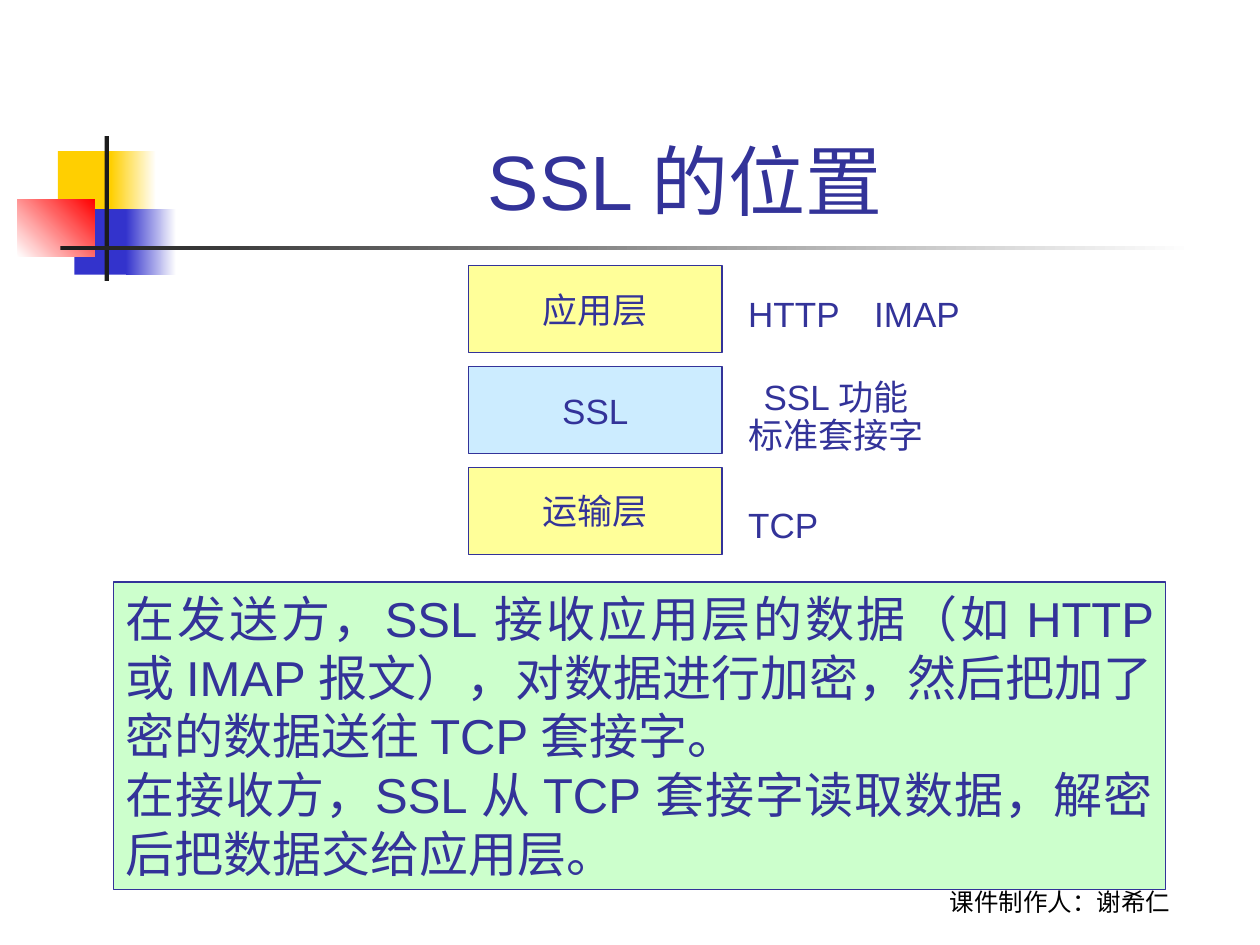
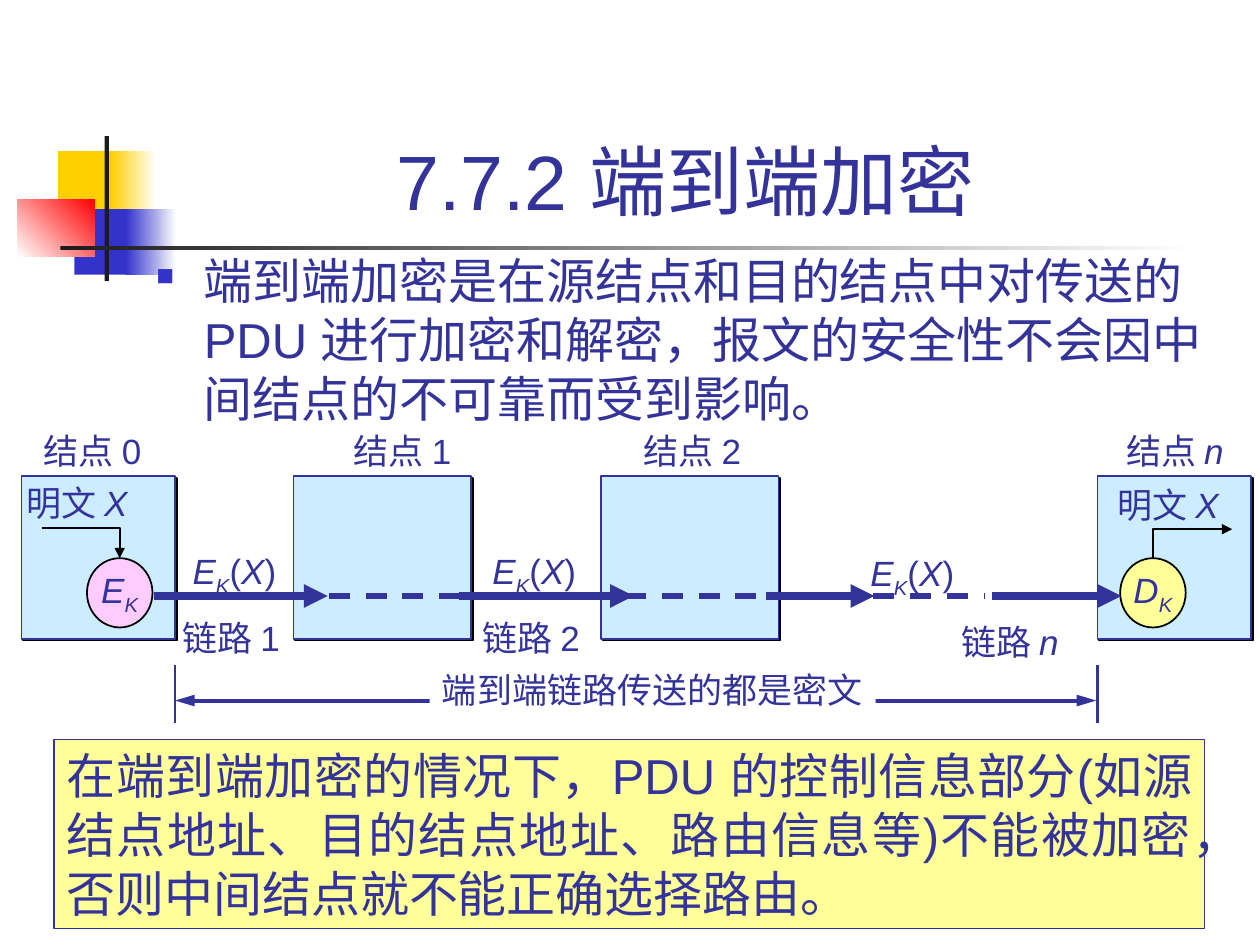
from lxml import etree
from pptx import Presentation
from pptx.dml.color import RGBColor
from pptx.enum.dml import MSO_LINE
from pptx.enum.shapes import MSO_CONNECTOR, MSO_SHAPE
from pptx.enum.text import MSO_ANCHOR, PP_ALIGN
from pptx.oxml.ns import qn
from pptx.util import Inches, Pt

RECT, OVAL = MSO_SHAPE.RECTANGLE, MSO_SHAPE.OVAL
STRAIGHT, DASH = MSO_CONNECTOR.STRAIGHT, MSO_LINE.DASH
LEFT, CENTER, JUSTIFY = PP_ALIGN.LEFT, PP_ALIGN.CENTER, PP_ALIGN.JUSTIFY
TOP, MIDDLE, BOTTOM = MSO_ANCHOR.TOP, MSO_ANCHOR.MIDDLE, MSO_ANCHOR.BOTTOM
rgb = RGBColor.from_string

# Shared colours
NAVY, BLUE, GOLD, RED = "333399", "3333CC", "FFCF01", "FF0000"
BLACK, INK, WHITE = "000000", "1C1C1C", "FFFFFF"
YELLOW, SKY, GREEN, PINK = "FFFF99", "CCECFF", "CCFFCC", "FFCCFF"

prs = Presentation()
prs.slide_width, prs.slide_height = Inches(10), Inches(7.5)
U = prs.slide_width / 100  # square grid: 100 columns by 75 rows


def box(s, at, paras=(), fill=None, line=None, kind=RECT, size=20, color=NAVY,
        font="Arial", align=LEFT, anchor=TOP, wrap=False, spacing=None, weight=0.75):
    """Shape or text box; each paragraph is a list of (text, style) runs."""
    x, y, w, h = (int(v * U) for v in at)
    if fill or line:
        sp = s.shapes.add_shape(kind, x, y, w, h)
        sp.shadow.inherit = False
        if isinstance(fill, tuple):
            start, end, angle = fill
            sp.fill.gradient()
            sp.fill.gradient_angle = angle
            for stop, shade in zip(sp.fill.gradient_stops, (start, end)):
                stop.color.rgb = rgb(shade)
        else:
            sp.fill.solid()
            sp.fill.fore_color.rgb = rgb(fill)
        if line:
            sp.line.color.rgb = rgb(line)
            sp.line.width = Pt(weight)
        else:
            sp.line.fill.background()
    else:
        sp = s.shapes.add_textbox(x, y, w, h)
    tf = sp.text_frame
    tf.word_wrap, tf.vertical_anchor = wrap, anchor
    for i, runs in enumerate(paras):
        p = tf.add_paragraph() if i else tf.paragraphs[0]
        p.alignment = align
        if spacing:
            p.line_spacing = spacing
        for text, style in runs:
            r = p.add_run()
            r.text = text
            r.font.name, r.font.size = font, Pt(size)
            r.font.color.rgb = rgb(color)
            r.font.italic = style in ("i", "sub")
            if style == "sub":
                r.font._element.set("baseline", "-25000")
    return sp


def stroke(s, points, color, width, ends=(), dash=None, head_length="med"):
    """Open line through the points; two points make a connector."""
    pts = [(int(x * U), int(y * U)) for x, y in points]
    if len(pts) == 2:
        sp = s.shapes.add_connector(STRAIGHT, *pts[0], *pts[1])
    else:
        fb = s.shapes.build_freeform(*pts[0])
        fb.add_line_segments(pts[1:], close=False)
        sp = fb.convert_to_shape()
        sp.fill.background()
    sp.line.color.rgb = rgb(color)
    sp.line.width = Pt(width)
    if dash:
        sp.line.dash_style = dash
    ln = sp.line._get_or_add_ln()
    for end in ends:
        etree.SubElement(ln, qn("a:" + end), type="triangle", len=head_length)
    etree.SubElement(sp._element.spPr, qn("a:effectLst"))


# Both slides: corner ornament, rule and title
slides = []
for title in ("SSL 的位置", "7.7.2 端到端加密"):
    s = prs.slides.add_slide(prs.slide_layouts[6])
    for at, fill in (
        ((4.6, 12, 4.8, 5.2), GOLD),
        ((8.8, 12, 3.6, 5.2), (GOLD, WHITE, 0)),
        ((5.9, 16.6, 4.6, 5.2), BLUE),
        ((10, 16.6, 4, 5.2), (BLUE, WHITE, 0)),
        ((1.4, 15.8, 6.1, 4.6), (WHITE, RED, 45)),
        ((8.3, 10.8, 0.35, 11.5), INK),
        ((4.8, 19.5, 90, 0.35), (INK, WHITE, 0)),
    ):
        box(s, at, fill=fill)
    box(s, (11.8, 2.4, 85.2, 16), [[(title, "")]], size=44,
        align=CENTER, anchor=BOTTOM, wrap=True)
    slides.append(s)

# Slide 1: protocol layers
s = slides[0]
for i, (layer, fill) in enumerate((("应用层", YELLOW), ("SSL", SKY), ("运输层", YELLOW))):
    box(s, (37.2, 21.1 + 8 * i, 20.1, 6.9), [[(layer, "")]], fill, NAVY,
        align=CENTER, anchor=MIDDLE)

# What each layer carries
box(s, (58.4, 22.7, 25, 4.4), [[("HTTP\tIMAP", "")]])
box(s, (58.4, 29.7, 15.9, 7), [[("SSL 功能", "")], [("标准套接字", "")]],
    align=CENTER, spacing=0.9)
box(s, (58.4, 39.5, 12, 4.4), [[("TCP", "")]])

# Explanation and footer
box(s, (9, 46.2, 83.5, 24.4), [
    [("在发送方，SSL 接收应用层的数据（如 HTTP 或 IMAP 报文），对数据进行加密，"
      "然后把加了密的数据送往 TCP 套接字。", "")],
    [("在接收方，SSL 从 TCP 套接字读取数据，解密后把数据交给应用层。", "")],
], GREEN, NAVY, size=28, align=JUSTIFY, wrap=True)
box(s, (68.3, 68.2, 31.7, 5), [[("课件制作人：谢希仁", "")]], size=14, color=BLACK,
    font="Cabin", align=CENTER, anchor=BOTTOM, wrap=True)

# Slide 2: bulleted definition
s = slides[1]
sp = box(s, (11.4, 19.4, 85, 17.3), [
    [("端到端加密是在源结点和目的结点中对传送的 PDU 进行加密和解密，"
      "报文的安全性不会因中间结点的不可靠而受到影响。", "")]], size=28, wrap=True)
p = sp.text_frame.paragraphs[0]
p.space_before = Pt(7)
pPr = p._p.get_or_add_pPr()
pPr.set("marL", str(Inches(0.38)))
pPr.set("indent", str(-Inches(0.38)))
etree.SubElement(etree.SubElement(pPr, qn("a:buClr")), qn("a:srgbClr"), val=BLUE)
etree.SubElement(pPr, qn("a:buSzPct"), val="50000")
etree.SubElement(pPr, qn("a:buChar"), char="■")

# Nodes with a hard shadow, and their labels
for x, w, label_x, number, style in (
    (23.3, 14.1, 27.1, "1", ""), (47.7, 14.1, 50.1, "2", ""),
    (87.1, 12.2, 88.4, "n", "i"), (1.7, 12.2, 2.5, "0", ""),
):
    sp = box(s, (x, 37.8, w, 12.9), fill=SKY, line=NAVY, weight=1)
    effects = sp._element.spPr.find(qn("a:effectLst"))
    shadow = etree.SubElement(effects, qn("a:outerShdw"), dist=str(Pt(1.4)),
                              dir="2700000", algn="ctr", rotWithShape="0")
    etree.SubElement(shadow, qn("a:srgbClr"), val=BLACK)
    box(s, (label_x, 33.6, 10.4, 4.4), [[("结点 ", ""), (number, style)]])

# Encryption and decryption at the two end nodes
for x, letter, fill, text_at, elbow in (
    (6.9, "E", PINK, (1.1, 37.7), ((3.3, 41.9), (9.5, 41.9), (9.5, 44.3))),
    (88.9, "D", YELLOW, (87.7, 37.9), ((91.5, 44.3), (91.5, 42), (97.8, 42))),
):
    box(s, (x, 44.3, 5.2, 5.5), [[(letter, "i"), ("K", "sub")]], fill, BLACK,
        kind=OVAL, align=CENTER, anchor=MIDDLE, weight=1)
    stroke(s, elbow, BLACK, 1, ["tailEnd"])
    box(s, (*text_at, 10.7, 4.4), [[("明文 ", ""), ("X", "i")]])

# Links: solid between nodes, dashed through them
AXIS = 47.3
for x1, x2 in ((12.2, 26), (36.4, 50.3), (78.7, 89), (60.8, 69.4)):
    stroke(s, ((x1, AXIS), (x2, AXIS)), NAVY, 4.5, ["tailEnd"])
for x1, x2 in ((69.3, 78.2), (26.1, 38.6), (49.6, 62)):
    stroke(s, ((x1, AXIS), (x2, AXIS)), NAVY, 3, dash=DASH)

# Link labels: ciphertext above, link number below
cipher = [("E", "i"), ("K", "sub"), ("(", ""), ("X", "i"), (")", "")]
for x, w, number, style, spacing, indent in (
    (13.5, 10.4, "1", "", 1.45, 0), (37.3, 10.4, "2", "", 1.45, 0),
    (67.3, 19.8, "n", "i", 1.5, 0.8),
):
    sp = box(s, (x, 41.4, w, 11.5), [cipher, [("链路 ", ""), (number, style)]],
             spacing=spacing)
    for p, margin in zip(sp.text_frame.paragraphs, (0.08, indent)):
        p._p.get_or_add_pPr().set("marL", str(Inches(margin)))

# Span of the ciphertext
stroke(s, ((13.9, 55.6), (87, 55.6)), NAVY, 2.25, ["headEnd", "tailEnd"],
       head_length="lg")
box(s, (34.1, 52.6, 35.4, 4.4), [[("端到端链路传送的都是密文", "")]], WHITE)
for x in (13.9, 87.1):
    stroke(s, ((x, 52.8), (x, 57.4)), NAVY, 1.5)

# Conclusion
box(s, (4.3, 58.7, 91.3, 15), [
    [("在端到端加密的情况下，PDU 的控制信息部分(如源结点地址、目的结点地址、"
      "路由信息等)不能被加密，否则中间结点就不能正确选择路由。", "")]],
    YELLOW, NAVY, size=28, align=JUSTIFY, wrap=True)

prs.save("out.pptx")
